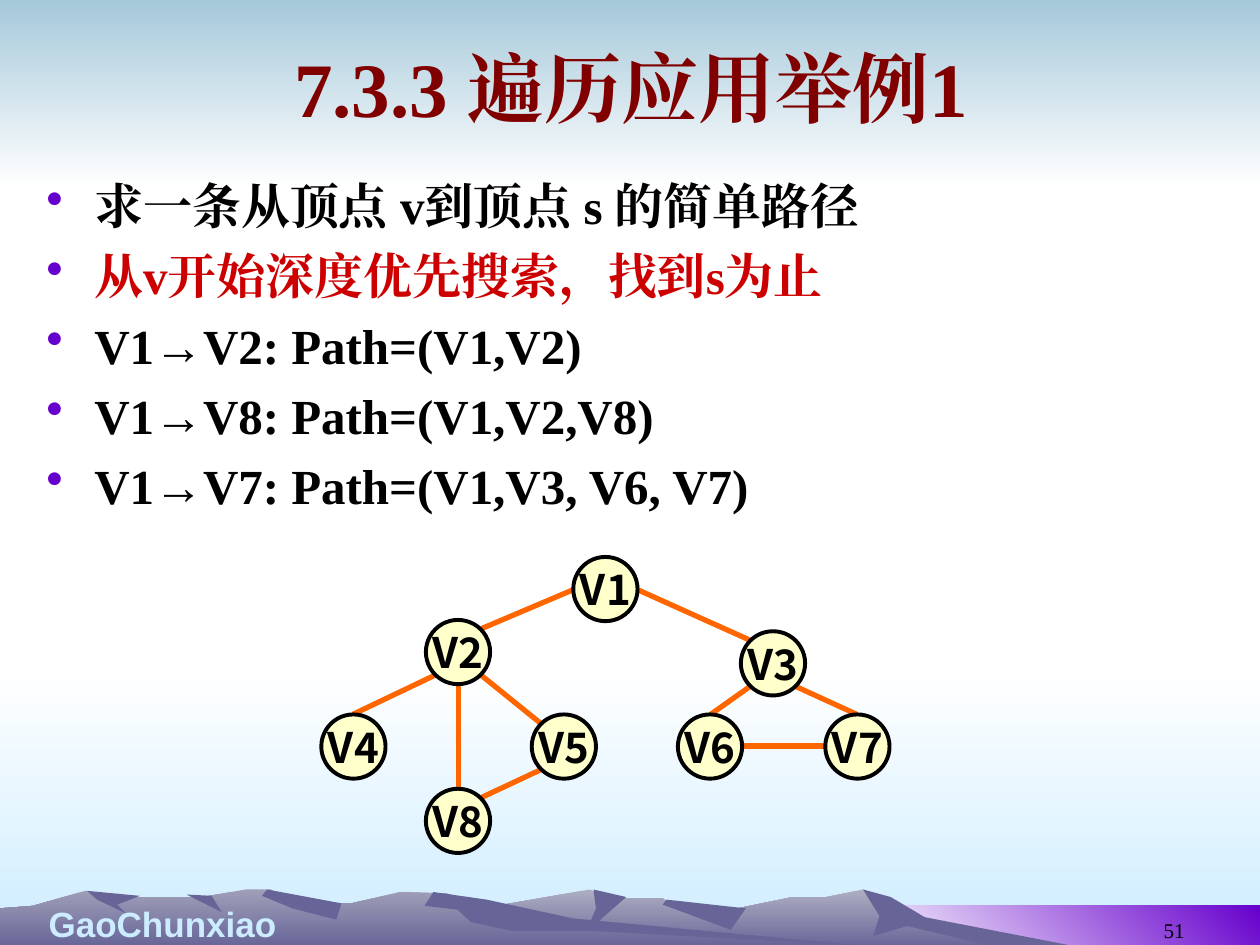
import math
import pptx
import pptx.util
from lxml import etree
from pptx.dml.color import RGBColor
from pptx.enum.shapes import MSO_CONNECTOR, MSO_SHAPE
from pptx.enum.text import MSO_ANCHOR, PP_ALIGN
from pptx.oxml.ns import qn

PX = 9144  # EMU per px, 100 px to the inch

BLACK = RGBColor(0x00, 0x00, 0x00)
WHITE = RGBColor(0xFF, 0xFF, 0xFF)
MAROON = RGBColor(0x80, 0x00, 0x00)
RED = RGBColor(0xCC, 0x00, 0x00)
PURPLE = RGBColor(0x66, 0x00, 0xCC)
SKY = RGBColor(0xCC, 0xEC, 0xFF)
MIST = RGBColor(0xA6, 0xC9, 0xDA)
SLATE = RGBColor(0x67, 0x65, 0x97)
HAZE = RGBColor(0xAE, 0xAE, 0xC2)
LILAC = RGBColor(0x9F, 0x9E, 0xB8)
CREAM = RGBColor(0xFF, 0xFF, 0xCC)
ORANGE = RGBColor(0xFF, 0x66, 0x00)

SERIF = "Times New Roman"
SANS = "Arial"
CJK = "Noto Sans CJK SC"

# Background bands: left, top, width, height, colours, angle
BANDS = [
    (0, 533, 1000, 217, (WHITE, SKY), 270),
    (0, 0, 1000, 150, (MIST, WHITE), 270),
    (683, 719, 317, 33, (WHITE, PURPLE), 45),
]

# Ridges and the shaded slopes on them: colours, then corner points
HILLS = [
    ((HAZE, SLATE), [
        (821, 752), (764, 738), (723, 725), (685, 706), (656, 712), (629, 712),
        (566, 725), (536, 721), (526, 713), (486, 713), (468, 706), (394, 719),
        (327, 731), (258, 752)]),
    ((SLATE,), [
        (685, 706), (698, 727), (693, 743), (720, 735), (792, 752), (858, 752),
        (734, 728), (707, 712)]),
    ((SLATE,), [(471, 706), (473, 721), (465, 740), (497, 712)]),
    ((SLATE,), [(529, 714), (526, 718), (580, 738), (592, 721)]),
    ((LILAC, SLATE), [
        (690, 752), (432, 732), (354, 709), (318, 708), (279, 717), (236, 717),
        (215, 706), (195, 706), (160, 712), (94, 712), (68, 707), (26, 719),
        (0, 721), (0, 752)]),
    ((SLATE,), [(212, 706), (208, 711), (232, 721), (267, 730), (271, 717)]),
    ((SLATE,), [
        (344, 708), (337, 719), (363, 722), (374, 732), (407, 739), (472, 739),
        (690, 751), (455, 729), (386, 714)]),
    ((SLATE,), [(148, 710), (168, 711), (176, 724)]),
    ((SLATE,), [(69, 707), (77, 714), (100, 725), (93, 718), (111, 711)]),
]

LINES = [
    ("求一条从顶点 v到顶点 s 的简单路径", BLACK),
    ("从v开始深度优先搜索，找到s为止", RED),
    ("V1→V2: Path=(V1,V2)", BLACK),
    ("V1→V8: Path=(V1,V2,V8)", BLACK),
    ("V1→V7: Path=(V1,V3, V6, V7)", BLACK),
]

# Graph: left and top of each node; edges leave and meet nodes at compass sides
SIZE = 51
NODES = {
    "V1": (455, 442), "V2": (338, 492), "V3": (588, 501), "V4": (255, 567),
    "V5": (422, 567), "V6": (538, 567), "V7": (655, 567), "V8": (338, 626),
}
SIDES = ["E", "SE", "S", "SW", "W", "NW", "N", "NE"]
EDGES = [
    ("V4", "N", "V2", "SW"), ("V2", "NE", "V1", "W"), ("V2", "SE", "V5", "NW"),
    ("V1", "E", "V3", "NW"), ("V3", "SE", "V7", "N"), ("V6", "N", "V3", "SW"),
    ("V6", "E", "V7", "W"), ("V8", "NE", "V5", "SW"), ("V2", "S", "V8", "N"),
]


def px(*nums):
    return [pptx.util.Emu(n * PX) for n in nums]


def paint(shape, tones, angle=270):
    """Fill with one colour, or with a gradient between two."""
    shape.shadow.inherit = False
    shape.line.fill.background()
    if len(tones) == 1:
        shape.fill.solid()
        shape.fill.fore_color.rgb = tones[0]
        return
    shape.fill.gradient()
    shape.fill.gradient_angle = angle
    for stop, tone in zip(shape.fill.gradient_stops, tones):
        stop.color.rgb = tone


def style(para, face, size, tone, bold=True, align=PP_ALIGN.LEFT):
    para.alignment = align
    for run in para.runs:
        font = run.font
        font.name, font.size, font.bold = face, pptx.util.Pt(size), bold
        font.color.rgb = tone
        props = run._r.get_or_add_rPr()
        etree.SubElement(props, qn("a:ea"), typeface=face)


def add_band(slide, left, top, width, height, tones, angle):
    box = slide.shapes.add_shape(MSO_SHAPE.RECTANGLE, *px(left, top, width, height))
    paint(box, tones, angle)


def add_hill(slide, tones, spots):
    pen = slide.shapes.build_freeform(*spots[0], scale=PX)
    pen.add_line_segments(spots[1:], close=True)
    paint(pen.convert_to_shape(), tones)


def add_text(slide, text, area, anchor=MSO_ANCHOR.TOP):
    frame = slide.shapes.add_textbox(*px(*area)).text_frame
    frame.word_wrap = True
    frame.vertical_anchor = anchor
    frame.text = text
    return frame


def add_title(slide, text):
    title = slide.shapes.title
    title.left, title.top, title.width, title.height = px(51, 13, 900, 112)
    title.text_frame.text = text
    title.text_frame.vertical_anchor = MSO_ANCHOR.MIDDLE
    style(title.text_frame.paragraphs[0], SERIF, 44, MAROON, align=PP_ALIGN.CENTER)
    # Bring the title in front of the scenery
    title.element.getparent().append(title.element)


def add_list(slide):
    frame = add_text(slide, "\n".join(t for t, _ in LINES), (27, 134, 945, 564))
    for i, (para, (_, tone)) in enumerate(zip(frame.paragraphs, LINES)):
        para.space_before = pptx.util.Pt(6.5 if i else 0)
        props = para._p.get_or_add_pPr()
        props.set("marL", str(38 * PX))
        props.set("indent", str(-38 * PX))
        color = etree.SubElement(props, qn("a:buClr"))
        etree.SubElement(color, qn("a:srgbClr"), val=str(PURPLE))
        etree.SubElement(props, qn("a:buChar"), char="•")
        style(para, SERIF, 28, tone)


def find_end(name, side):
    """Point on the rim of a node at a compass side."""
    turn = SIDES.index(side) * math.pi / 4
    left, top = NODES[name]
    half = SIZE / 2
    return (round(left + half + half * math.cos(turn)),
            round(top + half + half * math.sin(turn)))


def add_edge(slide, tail, out, head, into):
    ends = find_end(tail, out) + find_end(head, into)
    edge = slide.shapes.add_connector(MSO_CONNECTOR.STRAIGHT, *px(*ends))
    edge.line.color.rgb = ORANGE
    edge.line.width = pptx.util.Pt(3)
    etree.SubElement(edge._element.spPr, qn("a:effectLst"))


def add_node(slide, name, left, top):
    node = slide.shapes.add_shape(MSO_SHAPE.OVAL, *px(left, top, SIZE, SIZE))
    paint(node, (CREAM,))
    node.line.color.rgb = BLACK
    node.line.width = pptx.util.Pt(2.25)
    frame = node.text_frame
    frame.margin_left = frame.margin_right = 0
    frame.margin_top = frame.margin_bottom = 0
    frame.word_wrap = False
    frame.vertical_anchor = MSO_ANCHOR.MIDDLE
    frame.text = name
    style(frame.paragraphs[0], CJK, 24, BLACK, align=PP_ALIGN.CENTER)


def main():
    deck = pptx.Presentation()
    deck.slide_width, deck.slide_height = px(1000, 750)
    slide = deck.slides.add_slide(deck.slide_layouts[5])

    # Scenery
    for band in BANDS:
        add_band(slide, *band)
    for tones, spots in HILLS:
        add_hill(slide, tones, spots)

    # Footer
    name = add_text(slide, "GaoChunxiao", (0, 711, 258, 44))
    style(name.paragraphs[0], SANS, 20, SKY, align=PP_ALIGN.CENTER)
    page = add_text(slide, "51", (717, 703, 233, 50), MSO_ANCHOR.BOTTOM)
    style(page.paragraphs[0], SERIF, 12, BLACK, False, PP_ALIGN.RIGHT)

    # Title and points
    add_title(slide, "7.3.3 遍历应用举例1")
    add_list(slide)

    # Graph
    for edge in EDGES:
        add_edge(slide, *edge)
    for label, spot in NODES.items():
        add_node(slide, label, *spot)

    deck.save("out.pptx")


if __name__ == "__main__":
    main()
